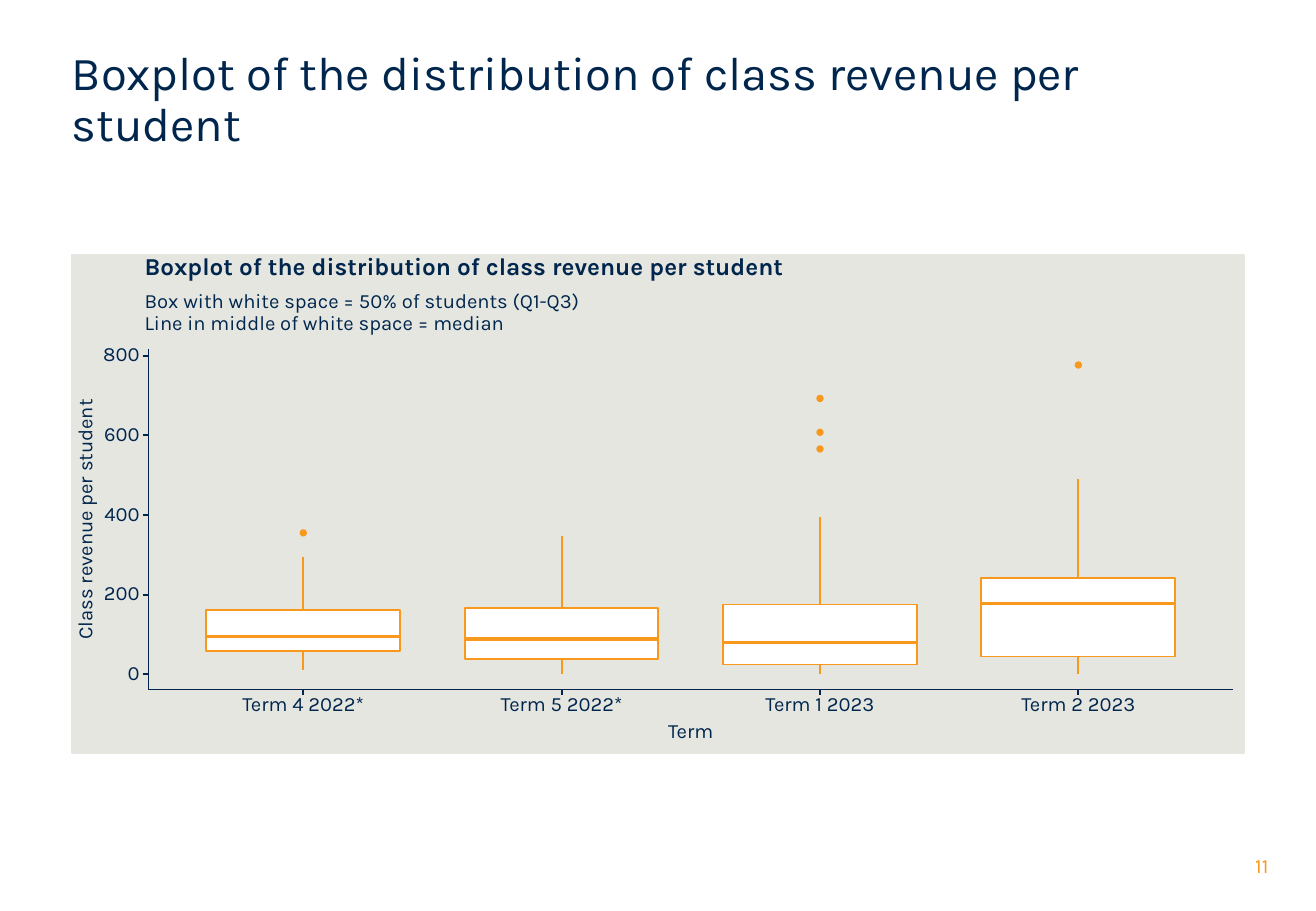
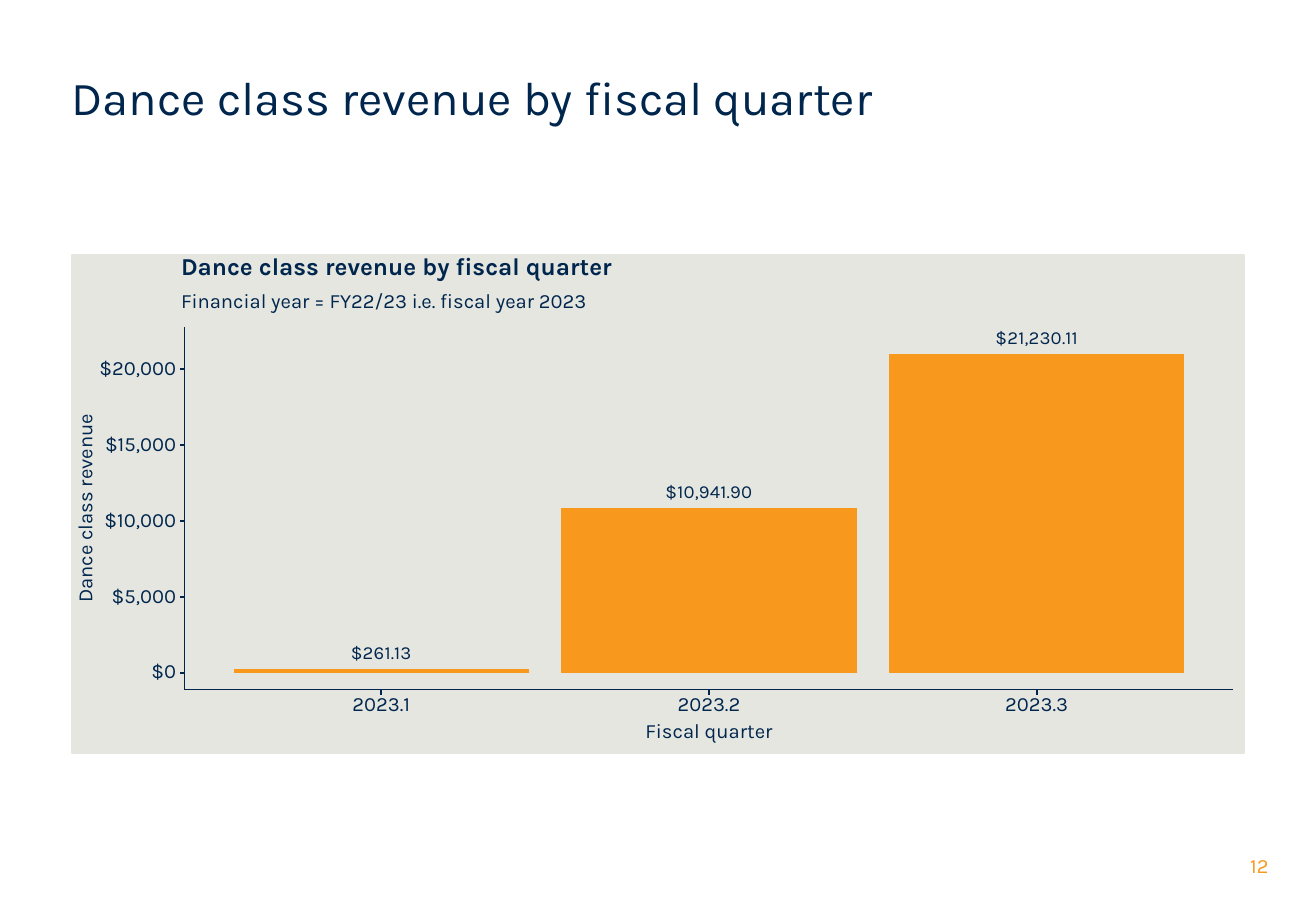
"""Build two slides on class revenue: a boxplot by term and columns by quarter."""
from dataclasses import dataclass

from lxml import etree
from pptx import Presentation
from pptx.chart.data import CategoryChartData
from pptx.dml.color import RGBColor
from pptx.enum.chart import XL_CHART_TYPE, XL_LABEL_POSITION
from pptx.enum.shapes import MSO_CONNECTOR, MSO_SHAPE
from pptx.enum.text import MSO_ANCHOR, MSO_AUTO_SIZE, PP_ALIGN
from pptx.oxml import parse_xml
from pptx.oxml.ns import nsdecls, qn
from pptx.util import Inches, Pt

COLUMNS = XL_CHART_TYPE.COLUMN_CLUSTERED
OUTSIDE_END = XL_LABEL_POSITION.OUTSIDE_END
STRAIGHT = MSO_CONNECTOR.STRAIGHT
RECTANGLE, OVAL = MSO_SHAPE.RECTANGLE, MSO_SHAPE.OVAL
MIDDLE, NO_AUTOFIT = MSO_ANCHOR.MIDDLE, MSO_AUTO_SIZE.NONE
LEFT, CENTER, RIGHT = PP_ALIGN.LEFT, PP_ALIGN.CENTER, PP_ALIGN.RIGHT

FONT = "Karla"
NAVY, ORANGE, SAND, WHITE = "00264D", "F8981D", "E6E6E1", "FFFFFF"
PANEL = (0.59, 2.1, 9.65, 4.1)
PLOT_RIGHT, PLOT_BOTTOM = 10.15, 5.68
TICK = 0.04
LABEL_HEIGHT = 0.2
BAR_SHARE, BOX_SHARE = 0.9, 0.75

TERMS = [
    ("Term 4 2022*", (10, 57, 95, 162, 295), [355]),
    ("Term 5 2022*", (0, 38, 88, 167, 348), []),
    ("Term 1 2023", (0, 24, 79, 175, 396), [566, 608, 693]),
    ("Term 2 2023", (0, 44, 177, 242, 491), [777]),
]
QUARTERS = [("2023.1", 261.13), ("2023.2", 10941.90), ("2023.3", 21230.11)]


@dataclass
class Plot:
    """Place categories and values inside a plot area, in inches."""

    left: float
    top: float
    zero_y: float
    tick_value: int
    tick_gap: float
    categories: list

    @property
    def step(self):
        """Return the distance between category centres."""
        return (PLOT_RIGHT - self.left) / (len(self.categories) + 0.2)

    def x(self, index):
        """Return the centre of a category."""
        return self.left + (index + 0.6) * self.step

    def y(self, value):
        """Return the height on the slide of a value."""
        return self.zero_y - value / self.tick_value * self.tick_gap


def rgb(color):
    """Turn a hex string into a colour."""
    return RGBColor.from_string(color)


def add_run(paragraph, text, size, color=NAVY, bold=False):
    """Add a formatted run to a paragraph."""
    run = paragraph.add_run()
    run.text = text
    run.font.name, run.font.size, run.font.bold = FONT, Pt(size), bold
    run.font.color.rgb = rgb(color)


def add_label(slide, text, left, center_y, width, align=LEFT, size=12,
              color=NAVY, bold=False):
    """Add one line of text centred on a height."""
    label = slide.shapes.add_textbox(
        Inches(left), Inches(center_y - LABEL_HEIGHT / 2),
        Inches(width), Inches(LABEL_HEIGHT))
    frame = label.text_frame
    frame.word_wrap, frame.vertical_anchor = True, MIDDLE
    frame.margin_left = frame.margin_right = 0
    frame.margin_top = frame.margin_bottom = 0
    paragraph = frame.paragraphs[0]
    paragraph.alignment, paragraph.line_spacing = align, Pt(size)
    add_run(paragraph, text, size, color, bold)
    return label


def add_line(slide, x1, y1, x2, y2, color, width):
    """Add a straight line without a shadow."""
    line = slide.shapes.add_connector(
        STRAIGHT, Inches(x1), Inches(y1), Inches(x2), Inches(y2))
    line.line.color.rgb, line.line.width = rgb(color), Pt(width)
    etree.SubElement(line.element.spPr, qn("a:effectLst"))


def add_area(slide, preset, bounds, fill, outline, width):
    """Add a filled and outlined preset shape."""
    area = slide.shapes.add_shape(preset, *map(Inches, bounds))
    area.shadow.inherit = False
    area.fill.solid()
    area.fill.fore_color.rgb = rgb(fill)
    area.line.color.rgb, area.line.width = rgb(outline), Pt(width)


def add_slide(prs, title_text, number):
    """Add a slide with its title, page number and chart panel."""
    slide = prs.slides.add_slide(prs.slide_layouts[5])
    title = slide.shapes.title
    title.left, title.top = Inches(0.59), Inches(0.55)
    title.width, title.height = Inches(9.65), Inches(0.55)
    frame = title.text_frame
    frame.auto_size, frame.word_wrap = NO_AUTOFIT, True
    frame.vertical_anchor = MIDDLE
    frame.margin_left = frame.margin_right = 0
    paragraph = frame.paragraphs[0]
    paragraph.alignment, paragraph.line_spacing = LEFT, 0.9
    add_run(paragraph, title_text, 28)
    add_label(slide, str(number), 9.67, 7.14, 0.77, RIGHT, color=ORANGE)
    add_area(slide, RECTANGLE, PANEL, SAND, SAND, 1.16)
    return slide


def add_headings(slide, plot, heading, notes):
    """Add the chart heading and the notes under it."""
    left = plot.left - 0.03
    add_label(slide, heading, left, 2.21, 8, size=14.4, bold=True)
    for row, note in enumerate(notes):
        add_label(slide, note, left, 2.49 + 0.18 * row, 8)


def add_axes(slide, plot, tick_format, value_title, category_title):
    """Draw both axes with ticks, labels and titles."""
    left, bottom = plot.left, PLOT_BOTTOM
    add_line(slide, left, bottom, left, plot.top, NAVY, 0.57)
    add_line(slide, left, bottom, PLOT_RIGHT, bottom, NAVY, 0.57)
    for value in range(0, 4 * plot.tick_value + 1, plot.tick_value):
        y = plot.y(value)
        add_line(slide, left - TICK, y, left, y, NAVY, 1.16)
        add_label(slide, tick_format.format(value), left - 0.77, y, 0.7, RIGHT)
    for index, category in enumerate(plot.categories):
        x = plot.x(index)
        add_line(slide, x, bottom + TICK, x, bottom, NAVY, 1.16)
        add_label(slide, category, x - 1, 5.81, 2, CENTER)
    add_label(slide, category_title, (left + PLOT_RIGHT) / 2 - 1, 6.03, 2,
              CENTER)
    middle = (plot.top + bottom) / 2
    axis_title = add_label(slide, value_title, -0.54, middle, 2.5, CENTER)
    axis_title.rotation = 270


def add_box(slide, plot, index, summary, outliers):
    """Draw one box with its whiskers, median and outliers."""
    x, width, dot = plot.x(index), BOX_SHARE * plot.step, 0.05
    low, first, median, third, high = map(plot.y, summary)
    left = x - width / 2
    for value in outliers:
        bounds = (x - dot / 2, plot.y(value) - dot / 2, dot, dot)
        add_area(slide, OVAL, bounds, ORANGE, ORANGE, 0.71)
    add_line(slide, x, third, x, high, ORANGE, 1.07)
    add_line(slide, x, first, x, low, ORANGE, 1.07)
    add_area(slide, RECTANGLE, (left, third, width, first - third),
             WHITE, ORANGE, 1.07)
    add_line(slide, left, median, left + width, median, ORANGE, 2.13)


def fill_frame(chart):
    """Clear the chart background and stretch the plot over the frame."""
    space = chart.element
    space.find(qn("c:chart")).addnext(parse_xml(
        f'<c:spPr {nsdecls("c", "a")}><a:noFill/>'
        '<a:ln><a:noFill/></a:ln></c:spPr>'))
    plot_area = space.find(".//" + qn("c:plotArea"))
    for old_layout in plot_area.findall(qn("c:layout")):
        plot_area.remove(old_layout)
    plot_area.insert(0, parse_xml(
        f'<c:layout {nsdecls("c")}><c:manualLayout>'
        '<c:layoutTarget val="inner"/>'
        '<c:xMode val="edge"/><c:yMode val="edge"/>'
        '<c:x val="0"/><c:y val="0"/><c:w val="1"/><c:h val="1"/>'
        '</c:manualLayout></c:layout>'))


def add_columns(slide, plot, values):
    """Add the column chart over the plot area."""
    data = CategoryChartData()
    data.categories = plot.categories
    data.add_series("Dance class revenue", values)
    height = plot.zero_y - plot.top
    chart = slide.shapes.add_chart(
        COLUMNS, Inches(plot.left + 0.1 * plot.step), Inches(plot.top),
        Inches(len(values) * plot.step), Inches(height), data).chart
    chart.has_title = chart.has_legend = False
    chart.font.name, chart.font.size = FONT, Pt(11)
    chart.font.color.rgb = rgb(NAVY)
    scale = chart.value_axis
    scale.minimum_scale = 0
    scale.maximum_scale = round(height / plot.tick_gap * plot.tick_value)
    scale.has_major_gridlines = False
    scale.visible = chart.category_axis.visible = False
    columns = chart.plots[0]
    columns.vary_by_categories = False
    columns.gap_width = round(100 * (1 / BAR_SHARE - 1))
    fill = columns.series[0].format.fill
    fill.solid()
    fill.fore_color.rgb = rgb(ORANGE)
    columns.has_data_labels = True
    labels = columns.data_labels
    labels.show_value, labels.position = True, OUTSIDE_END
    labels.number_format = '"$"#,##0.00'
    labels.number_format_is_linked = False
    fill_frame(chart)


def build_boxplot_slide(prs):
    """Build the slide on revenue per student."""
    heading = "Boxplot of the distribution of class revenue per student"
    slide = add_slide(prs, heading, 11)
    plot = Plot(1.22, 2.87, 5.55, 200, 0.655, [term[0] for term in TERMS])
    for index, (_, summary, outliers) in enumerate(TERMS):
        add_box(slide, plot, index, summary, outliers)
    add_axes(slide, plot, "{}", "Class revenue per student", "Term")
    add_headings(slide, plot, heading, [
        "Box with white space = 50% of students (Q1-Q3)",
        "Line in middle of white space = median"])


def build_quarter_slide(prs):
    """Build the slide on revenue by quarter."""
    heading = "Dance class revenue by fiscal quarter"
    slide = add_slide(prs, heading, 12)
    quarters, revenue = zip(*QUARTERS)
    plot = Plot(1.52, 2.69, 5.54, 5000, 0.625, quarters)
    add_columns(slide, plot, revenue)
    add_axes(slide, plot, "${:,}", "Dance class revenue", "Fiscal quarter")
    add_headings(slide, plot, heading, [
        "Financial year = FY22/23 i.e. fiscal year 2023"])


def main():
    """Build and save the presentation."""
    prs = Presentation()
    prs.slide_width, prs.slide_height = Inches(10.83), Inches(7.5)
    build_boxplot_slide(prs)
    build_quarter_slide(prs)
    prs.save("out.pptx")


if __name__ == "__main__":
    main()
